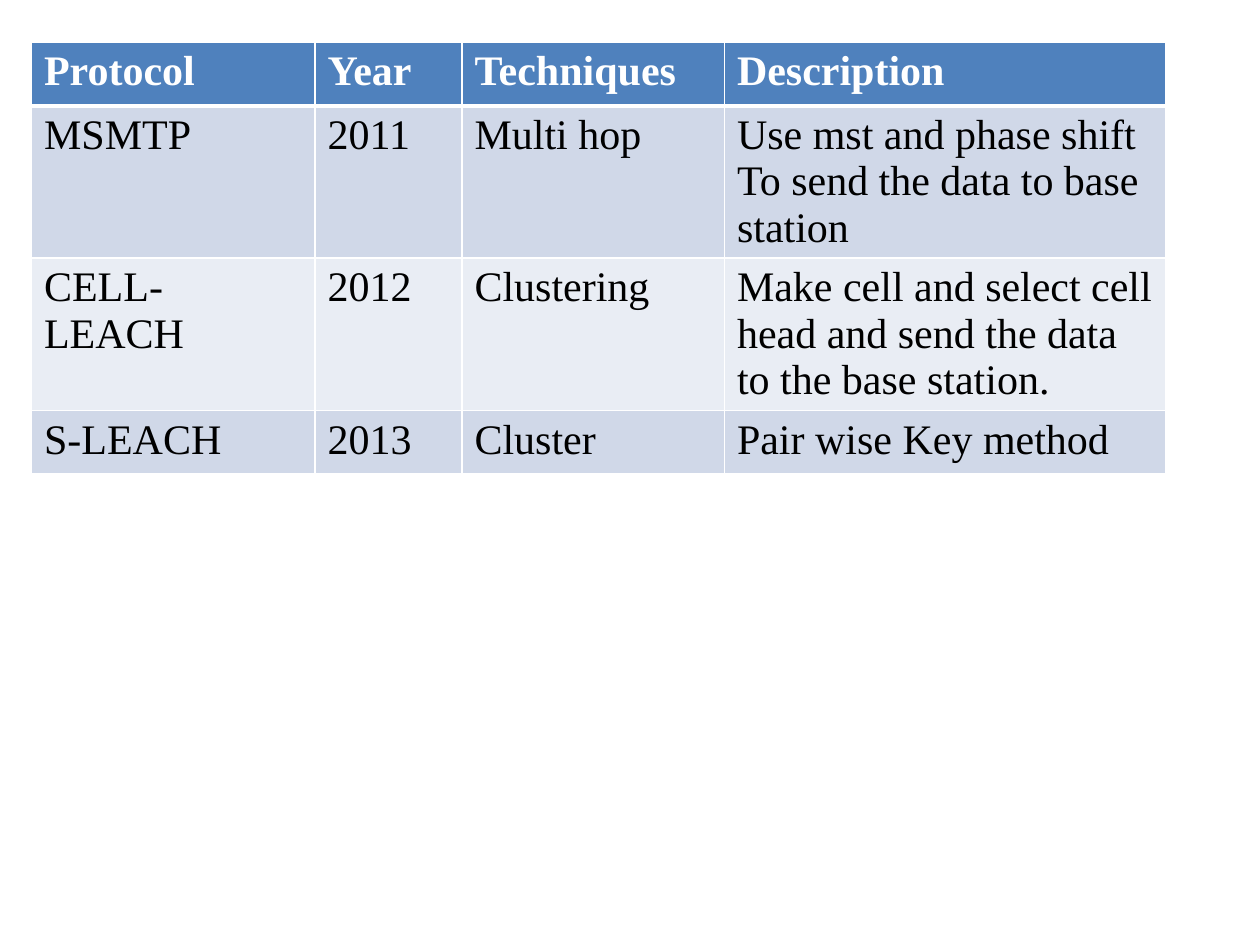
import pptx
import pptx.dml.color
import pptx.oxml.ns
import pptx.util
import lxml.etree

Pt = pptx.util.Pt

COLORS = {
    "header": "4F81BD",
    "odd": "D0D8E8",
    "even": "E9EDF4",
    "border": "FFFFFF",
    "header_text": "FFFFFF",
    "body_text": "000000",
}
FONT = "Times New Roman"
COLUMN_WIDTHS = [162, 84, 150, 252]
ROW_HEIGHTS = [36.5, 87, 87, 36.5]
PROTOCOLS = [
    ["Protocol", "Year", "Techniques", "Description"],
    ["MSMTP", "2011", "Multi hop",
     "Use mst and phase shift\nTo send the data to base station"],
    ["CELL-LEACH", "2012", "Clustering",
     "Make cell and select cell head and send the data to the base station."],
    ["S-LEACH", "2013", "Cluster", "Pair wise Key method"],
]


def rgb(name):
    return pptx.dml.color.RGBColor.from_string(COLORS[name])


def add_border(cell, side, width):
    qualified = pptx.oxml.ns.qn
    properties = cell._tc.get_or_add_tcPr()
    line = lxml.etree.SubElement(properties, qualified(f"a:ln{side}"), w=str(Pt(width)))
    fill = lxml.etree.SubElement(line, qualified("a:solidFill"))
    lxml.etree.SubElement(fill, qualified("a:srgbClr"), val=COLORS["border"])


def style_cell(cell, text, row_index):
    is_header = row_index == 0
    for side in "LRTB":
        under_header = (row_index, side) in [(0, "B"), (1, "T")]
        add_border(cell, side, 3 if under_header else 1)
    cell.fill.solid()
    cell.fill.fore_color.rgb = rgb("header" if is_header else "odd" if row_index % 2 else "even")
    cell.text_frame.text = text
    for paragraph in cell.text_frame.paragraphs:
        for span in paragraph.runs:
            span.font.name = FONT
            span.font.size = Pt(24)
            span.font.bold = is_header
            span.font.color.rgb = rgb("header_text" if is_header else "body_text")


def add_protocol_table(page):
    frame = page.shapes.add_table(
        len(PROTOCOLS), len(COLUMN_WIDTHS), Pt(18), Pt(24),
        Pt(sum(COLUMN_WIDTHS)), Pt(sum(ROW_HEIGHTS)))
    table = frame.table
    for column, width in zip(table.columns, COLUMN_WIDTHS):
        column.width = Pt(width)
    for row_index, (row, height) in enumerate(zip(table.rows, ROW_HEIGHTS)):
        row.height = Pt(height)
        for cell, text in zip(row.cells, PROTOCOLS[row_index]):
            style_cell(cell, text, row_index)


def main():
    deck = pptx.Presentation()
    deck.slide_width, deck.slide_height = Pt(720), Pt(540)
    page = deck.slides.add_slide(deck.slide_layouts[6])
    add_protocol_table(page)
    deck.save("out.pptx")


if __name__ == "__main__":
    main()
